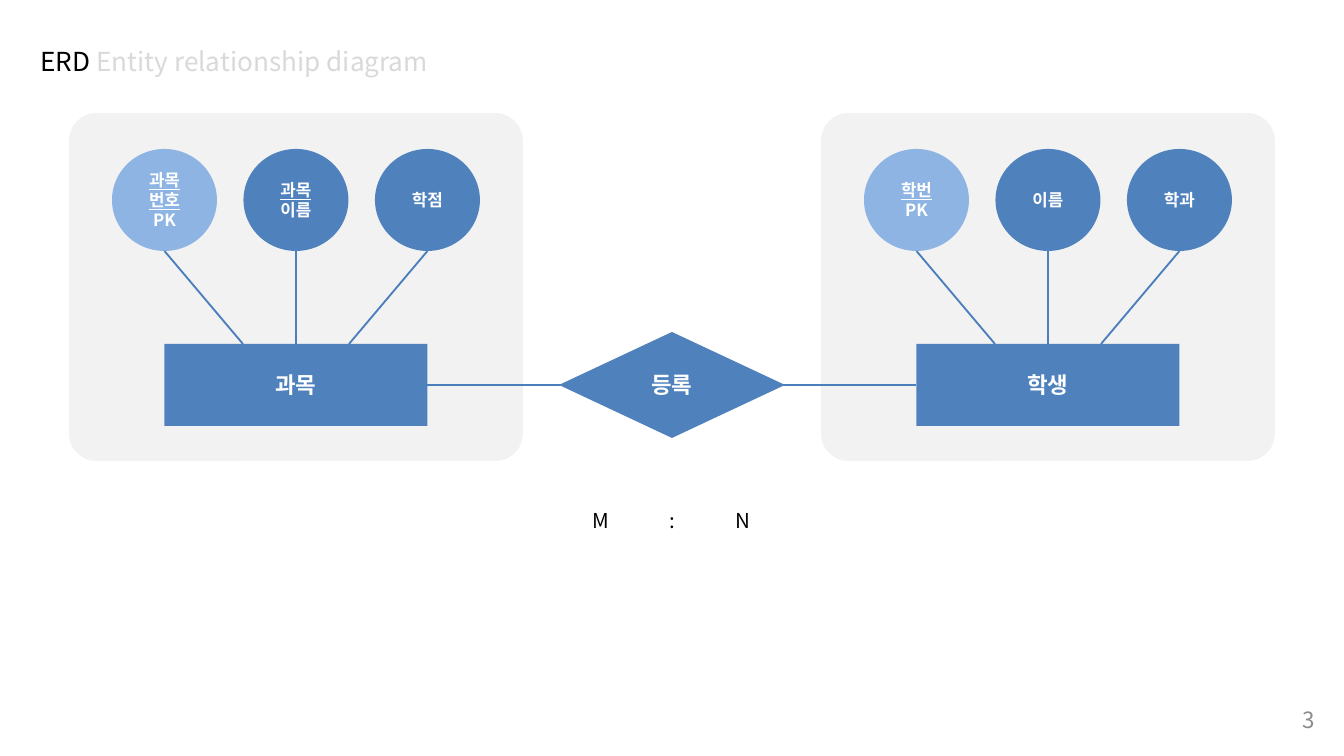
from dataclasses import dataclass

from lxml import etree
from pptx import Presentation
from pptx.dml.color import RGBColor
from pptx.enum.shapes import MSO_CONNECTOR, MSO_SHAPE
from pptx.enum.text import MSO_ANCHOR, MSO_AUTO_SIZE, PP_ALIGN
from pptx.oxml.ns import qn
from pptx.util import Emu, Pt

RECTANGLE, ROUNDED = MSO_SHAPE.RECTANGLE, MSO_SHAPE.ROUNDED_RECTANGLE
ELLIPSE, DIAMOND = MSO_SHAPE.OVAL, MSO_SHAPE.DIAMOND
STRAIGHT = MSO_CONNECTOR.STRAIGHT
LEFT, CENTER, RIGHT = PP_ALIGN.LEFT, PP_ALIGN.CENTER, PP_ALIGN.RIGHT
TOP, MIDDLE = MSO_ANCHOR.TOP, MSO_ANCHOR.MIDDLE
NO_AUTOFIT = MSO_AUTO_SIZE.NONE

SLIDE_W, SLIDE_H = 1344, 756
EMU_PER_PX = 9144000 / SLIDE_W


def px(length):
    return Emu(round(length * EMU_PER_PX))


@dataclass(frozen=True)
class Theme:
    font: str = "Noto Sans CJK KR"
    ink: str = "000000"
    subtitle: str = "D9D9D9"
    page: str = "8C8C8C"
    panel: str = "F2F2F2"
    node: str = "4F81BD"
    key: str = "8EB4E3"
    line: str = "4B7EBC"
    on_node: str = "FFFFFF"
    title_size: int = 14
    entity_size: int = 12
    cardinality_size: int = 11
    attribute_size: int = 9


class Diagram:
    def __init__(self, slide, theme):
        self.slide, self.theme = slide, theme

    def style(self, paragraph, size, color, align=CENTER, bold=False):
        paragraph.alignment = align
        font = paragraph.font
        font.size, font.bold, font.name = Pt(size), bold, self.theme.font
        font.color.rgb = RGBColor.from_string(color)
        # Korean glyphs take the East Asian typeface
        etree.SubElement(font._rPr, qn("a:ea"), typeface=self.theme.font)

    def title(self, parts, x, y, w, h):
        title = self.slide.shapes.title
        title.left, title.top, title.width, title.height = map(px, (x, y, w, h))
        frame = title.text_frame
        frame.auto_size, frame.vertical_anchor = NO_AUTOFIT, TOP
        paragraph = frame.paragraphs[0]
        self.style(paragraph, self.theme.title_size, self.theme.ink, LEFT)
        for text, color in parts:
            run = paragraph.add_run()
            run.text = text
            run.font.color.rgb = RGBColor.from_string(color)

    def label(self, text, x, y, w, h, size, color, align=CENTER, anchor=TOP, spacing=1.0):
        frame = self.slide.shapes.add_textbox(*map(px, (x, y, w, h))).text_frame
        frame.word_wrap, frame.vertical_anchor = True, anchor
        paragraph = frame.paragraphs[0]
        paragraph.text, paragraph.line_spacing = text, spacing
        self.style(paragraph, size, color, align)

    def node(self, kind, x, y, w, h, fill, lines=(), size=12, underlined=()):
        node = self.slide.shapes.add_shape(kind, *map(px, (x, y, w, h)))
        node.shadow.inherit = False
        node.fill.solid()
        node.fill.fore_color.rgb = RGBColor.from_string(fill)
        node.line.fill.background()
        frame = node.text_frame
        frame.word_wrap, frame.vertical_anchor = True, MIDDLE
        frame.margin_left = frame.margin_right = 0
        paragraph = frame.paragraphs[0]
        self.style(paragraph, size, self.theme.on_node, bold=True)
        for index, line in enumerate(lines):
            if index:
                paragraph.add_line_break()
            run = paragraph.add_run()
            run.text = line
            if line in underlined:
                run.font.underline = True
        return node

    def link(self, x1, y1, x2, y2, weight):
        link = self.slide.shapes.add_connector(STRAIGHT, *map(px, (x1, y1, x2, y2)))
        link.line.color.rgb = RGBColor.from_string(self.theme.line)
        link.line.width = Pt(weight)
        etree.SubElement(link._element.spPr, qn("a:effectLst"))
        return link

    def entity(self, name, key, attributes, x):
        """Panel with an entity, its key and two more attributes; returns the entity."""
        theme = self.theme
        panel_w, entity_w, circle_w, circle_h = 454, 263, 105, 102
        circle_y, entity_y = 149, 344
        center = x + panel_w / 2
        panel = self.node(ROUNDED, x, 113, panel_w, 348, theme.panel)
        panel.adjustments[0] = 0.08
        entity = self.node(RECTANGLE, center - entity_w / 2, entity_y, entity_w, 82,
                           theme.node, [name], theme.entity_size)

        # Attributes sit over the entity's left edge, middle and right edge
        for side, lines in zip((-1, 0, 1), [key + ["PK"], *attributes]):
            attribute_x = center + side * entity_w / 2
            self.node(ELLIPSE, attribute_x - circle_w / 2, circle_y, circle_w, circle_h,
                      theme.key if side == -1 else theme.node, lines,
                      theme.attribute_size, key)
            link = self.link(attribute_x, circle_y + circle_h,
                             center + side * 53, entity_y, 1)
            if side == 0:
                link.end_connect(entity, 0)
        return entity


def main():
    presentation = Presentation()
    presentation.slide_width, presentation.slide_height = px(SLIDE_W), px(SLIDE_H)
    theme = Theme()
    diagram = Diagram(presentation.slides.add_slide(presentation.slide_layouts[5]), theme)

    # Title and page number
    diagram.title([("ERD ", theme.ink), ("Entity relationship diagram", theme.subtitle)],
                  27, 39, 695, 46)
    diagram.label("3", 1253, 700, 75, 40, theme.entity_size, theme.page, RIGHT, MIDDLE)

    # Entities with their attributes
    course = diagram.entity("과목", ["과목", "번호"], [["과목", "이름"], ["학점"]], 69)
    student = diagram.entity("학생", ["학번"], [["이름"], ["학과"]], 821)

    # Relationship
    link = diagram.link(427, 385, 917, 385, 0.75)
    link.begin_connect(course, 3)
    link.end_connect(student, 1)
    diagram.node(DIAMOND, 559, 332, 226, 106, theme.node, ["등록"], theme.entity_size)

    # Cardinality
    for column, sign in enumerate("M:N"):
        diagram.label(sign, 570 + 71 * column, 477, 62, 55,
                      theme.cardinality_size, theme.ink, spacing=2.0)

    presentation.save("out.pptx")


if __name__ == "__main__":
    main()
